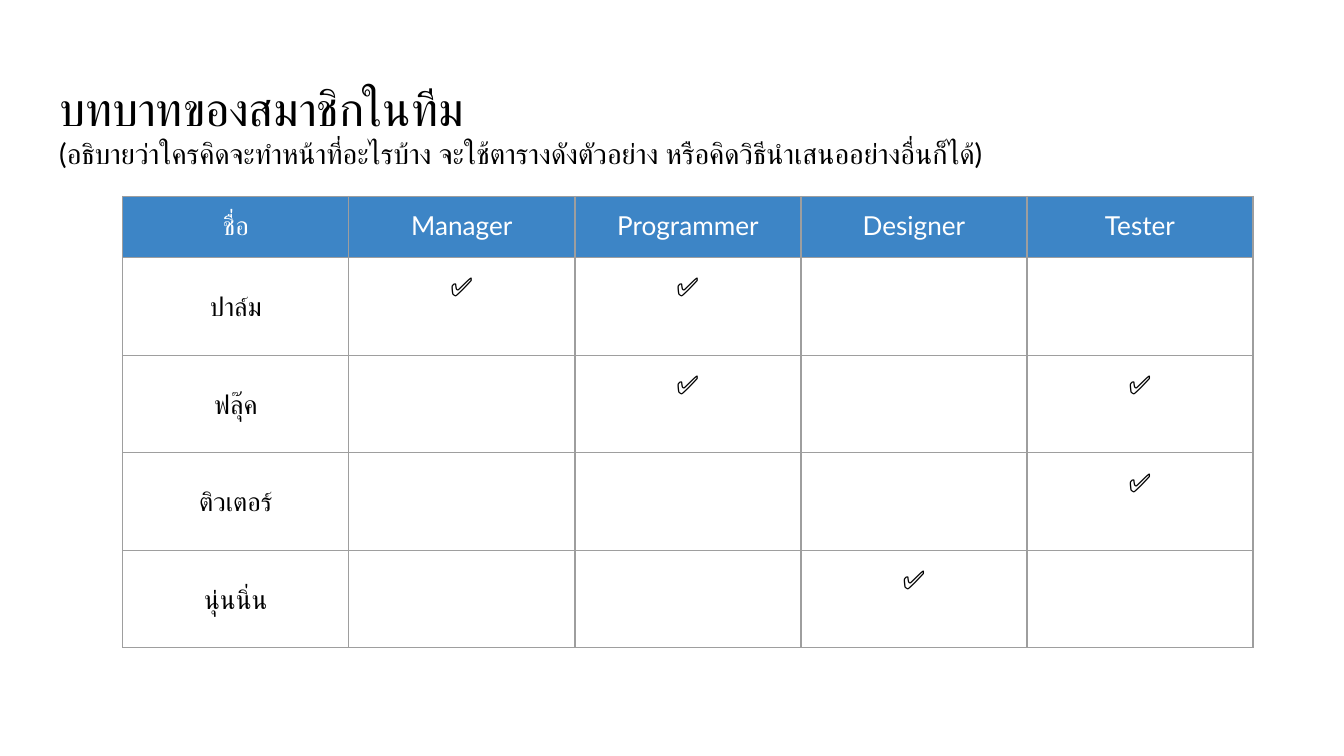
import dataclasses

import lxml.etree
import pptx
import pptx.dml.color
import pptx.enum.text
import pptx.oxml.ns
import pptx.util

Pt = pptx.util.Pt
RGB = pptx.dml.color.RGBColor.from_string
Align = pptx.enum.text.PP_ALIGN
Anchor = pptx.enum.text.MSO_ANCHOR
qn = pptx.oxml.ns.qn


@dataclasses.dataclass(frozen=True)
class Theme:
    font: str = "Lato"
    ink: str = "000000"
    light: str = "FFFFFF"
    head: str = "3D85C6"
    line: str = "9E9E9E"
    title: float = 25.2
    note: float = 15.2
    cell: float = 14
    inset: float = 7.2
    rule: float = 0.75


THEME = Theme()
TITLE = "บทบาทของสมาชิกในทีม"
NOTE = (
    "(อธิบายว่าใครคิดจะทำหน้าที่อะไรบ้าง "
    "จะใช้ตารางดังตัวอย่าง หรือคิดวิธีนำเสนออย่างอื่นก็ได้)"
)
ROLES = ["Manager", "Programmer", "Designer", "Tester"]
TEAM = {
    "ปาล์ม": ["Manager", "Programmer"],
    "ฟลุ๊ค": ["Programmer", "Tester"],
    "ติวเตอร์": ["Tester"],
    "นุ่นนิ่น": ["Designer"],
}


def apply(item, values):
    for name, value in values.items():
        setattr(item, name, value)


def margins():
    sides = ("left", "top", "right", "bottom")
    return {f"margin_{side}": Pt(THEME.inset) for side in sides}


def add_run(para, text, size, color):
    run = para.add_run()
    run.text = text
    apply(run.font, {"name": THEME.font, "size": Pt(size), "bold": False})
    run.font.color.rgb = RGB(color)
    props = run.font._element
    for tag in ("a:ea", "a:cs"):
        lxml.etree.SubElement(props, qn(tag), typeface=THEME.font)


def add_title(slide):
    title = slide.shapes.title
    apply(title, {"left": Pt(24.5), "top": Pt(35.3),
                  "width": Pt(671), "height": Pt(45.4)})
    frame = title.text_frame
    apply(frame, {"word_wrap": True, "vertical_anchor": Anchor.TOP,
                  "auto_size": pptx.enum.text.MSO_AUTO_SIZE.NONE, **margins()})
    para = frame.paragraphs[0]
    apply(para, {"alignment": Align.LEFT, "line_spacing": 1.0,
                 "space_before": Pt(0)})
    add_run(para, TITLE, THEME.title, THEME.ink)
    para.add_line_break()
    add_run(para, NOTE, THEME.note, THEME.ink)


def add_edges(cell):
    props = cell._tc.get_or_add_tcPr()
    for tag in ("a:lnL", "a:lnR", "a:lnT", "a:lnB"):
        edge = lxml.etree.SubElement(props, qn(tag), w=str(Pt(THEME.rule)))
        fill = lxml.etree.SubElement(edge, qn("a:solidFill"))
        lxml.etree.SubElement(fill, qn("a:srgbClr"), val=THEME.line)


def fill_cell(cell, text, header, middle):
    add_edges(cell)
    apply(cell, {"vertical_anchor": Anchor.MIDDLE if middle else Anchor.TOP,
                 **margins()})
    if header:
        cell.fill.solid()
        cell.fill.fore_color.rgb = RGB(THEME.head)
    else:
        cell.fill.background()
    para = cell.text_frame.paragraphs[0]
    para.alignment = Align.CENTER
    if text:
        add_run(para, text, THEME.cell, THEME.light if header else THEME.ink)


def add_grid(slide):
    rows = [["ชื่อ", *ROLES]]
    for name, jobs in TEAM.items():
        rows.append([name] + ["✅" if role in jobs else "" for role in ROLES])
    frame = slide.shapes.add_table(len(rows), len(rows[0]), Pt(65.8), Pt(105.3),
                                   Pt(605.5), Pt(241.8))
    table = frame.table
    apply(table, {"first_row": False, "horz_banding": False})
    for col in table.columns:
        col.width = Pt(121.1)
    for r, texts in enumerate(rows):
        table.rows[r].height = Pt(52.25 if r else 32.8)
        for c, text in enumerate(texts):
            fill_cell(table.cell(r, c), text, r == 0, r > 0 and c == 0)


def main():
    deck = pptx.Presentation()
    apply(deck, {"slide_width": Pt(720), "slide_height": Pt(405)})
    slide = deck.slides.add_slide(deck.slide_layouts[5])
    add_title(slide)
    add_grid(slide)
    deck.save("out.pptx")


if __name__ == "__main__":
    main()
